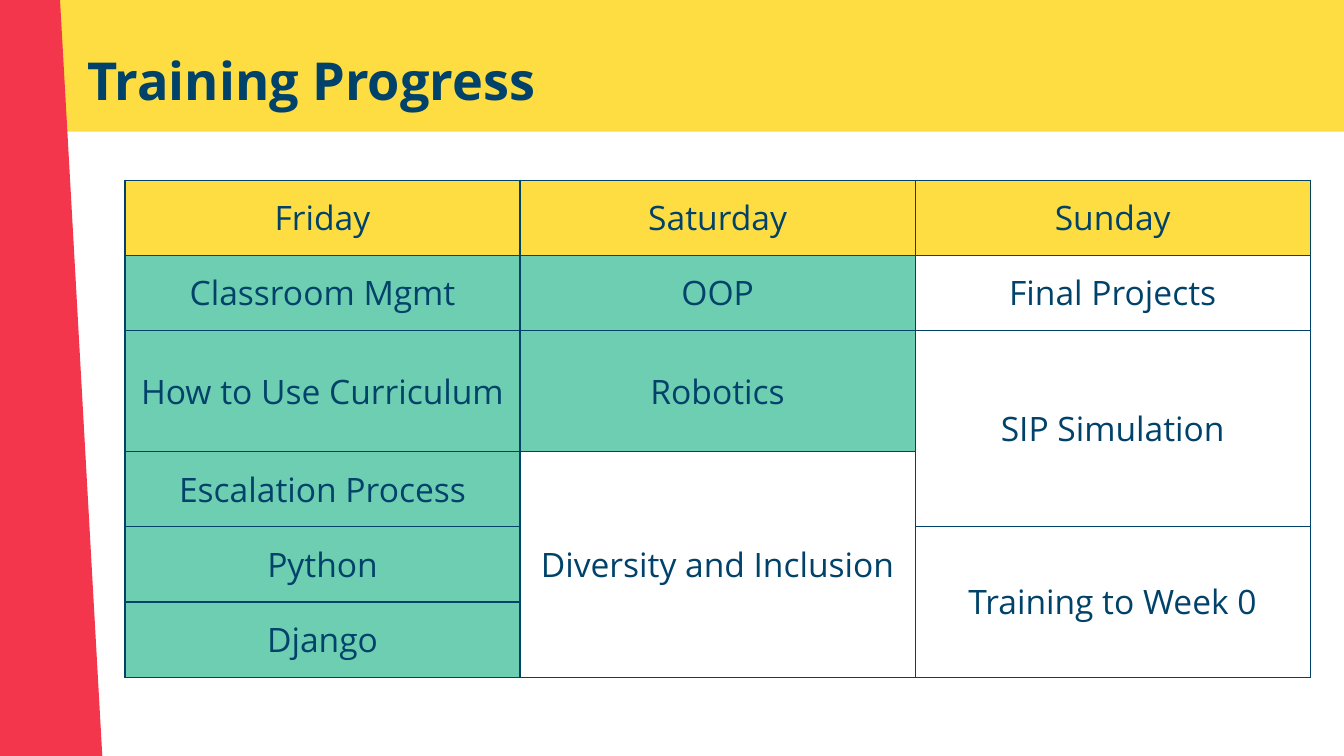
"""Build the Training Progress slide with its three-day schedule table."""
from lxml.etree import SubElement
from pptx import Presentation
from pptx.dml.color import RGBColor
from pptx.enum.shapes import MSO_SHAPE
from pptx.enum.text import MSO_ANCHOR, PP_ALIGN
from pptx.oxml.ns import qn
from pptx.util import Inches, Pt

NAVY, YELLOW, RED, GREEN = "01426A", "FDDD41", "F4364C", "6ECEB2"
SLIDE_WIDTH = 10
SLIDE_HEIGHT = SLIDE_WIDTH * 9 / 16
TITLE = "Training Progress"
BANDS = [
    {"box": (-0.84, -0.02, 11, 1), "color": YELLOW, "rotation": 0},
    {"box": (-5.13, 0.7, 10.21, 1.08), "color": RED, "rotation": 86.8},
]
DAYS = {
    "Friday": [
        ("Classroom Mgmt", 1, GREEN),
        ("How to Use Curriculum", 1, GREEN),
        ("Escalation Process", 1, GREEN),
        ("Python", 1, GREEN),
        ("Django", 1, GREEN),
    ],
    "Saturday": [
        ("OOP", 1, GREEN),
        ("Robotics", 1, GREEN),
        ("Diversity and Inclusion", 3, None),
    ],
    "Sunday": [
        ("Final Projects", 1, None),
        ("SIP Simulation", 2, None),
        ("Training to Week 0", 2, None),
    ],
}
TABLE_LEFT, TABLE_TOP, COLUMN_WIDTH = 0.93, 1.34, 2.94
ROW_HEIGHTS = [0.56, 0.56, 0.9, 0.56, 0.56, 0.56]
MARGINS = ("margin_left", "margin_right", "margin_top", "margin_bottom")


def rgb(color):
    return RGBColor.from_string(color)


def set_text(frame, text, size, bold=False):
    paragraph = frame.paragraphs[0]
    run = paragraph.add_run()
    run.text = text
    for name, value in {"name": "Open Sans", "size": Pt(size), "bold": bold}.items():
        setattr(run.font, name, value)
    run.font.color.rgb = rgb(NAVY)
    return paragraph


def set_margins(holder):
    for name in MARGINS:
        setattr(holder, name, Inches(0.1))


def add_band(slide, box, color, rotation):
    shape = slide.shapes.add_shape(MSO_SHAPE.RECTANGLE, *map(Inches, box))
    shape.shadow.inherit = False
    shape.fill.solid()
    shape.fill.fore_color.rgb = rgb(color)
    shape.line.fill.background()
    shape.rotation = rotation


def add_title(slide):
    frame = slide.shapes.add_textbox(*map(Inches, (0.55, 0.26, 9.32, 0.63))).text_frame
    frame.word_wrap = True
    set_margins(frame)
    set_text(frame, TITLE, 28, bold=True)


def style_cell(cell, color):
    properties = cell._tc.get_or_add_tcPr()
    for side in ("a:lnL", "a:lnR", "a:lnT", "a:lnB"):
        line = SubElement(properties, qn(side), w=str(Pt(0.75)))
        SubElement(SubElement(line, qn("a:solidFill")), qn("a:srgbClr"), val=NAVY)
    if color:
        cell.fill.solid()
        cell.fill.fore_color.rgb = rgb(color)
    else:
        cell.fill.background()
    cell.vertical_anchor = MSO_ANCHOR.MIDDLE
    set_margins(cell)


def add_schedule(slide):
    size = (COLUMN_WIDTH * len(DAYS), sum(ROW_HEIGHTS))
    table = slide.shapes.add_table(
        len(ROW_HEIGHTS), len(DAYS), *map(Inches, (TABLE_LEFT, TABLE_TOP, *size))
    ).table
    for column in table.columns:
        column.width = Inches(COLUMN_WIDTH)
    for row, height in zip(table.rows, ROW_HEIGHTS):
        row.height = Inches(height)
    for column, (day, sessions) in enumerate(DAYS.items()):
        row = 0
        for text, span, color in [(day, 1, YELLOW), *sessions]:
            for covered in range(row, row + span):
                style_cell(table.cell(covered, column), color)
            cell = table.cell(row, column)
            if span > 1:
                cell.merge(table.cell(row + span - 1, column))
            set_text(cell.text_frame, text, 18).alignment = PP_ALIGN.CENTER
            row += span


def main():
    presentation = Presentation()
    presentation.slide_width = Inches(SLIDE_WIDTH)
    presentation.slide_height = Inches(SLIDE_HEIGHT)
    slide = presentation.slides.add_slide(presentation.slide_layouts[6])
    for band in BANDS:
        add_band(slide, **band)
    add_title(slide)
    add_schedule(slide)
    presentation.save("out.pptx")


if __name__ == "__main__":
    main()
